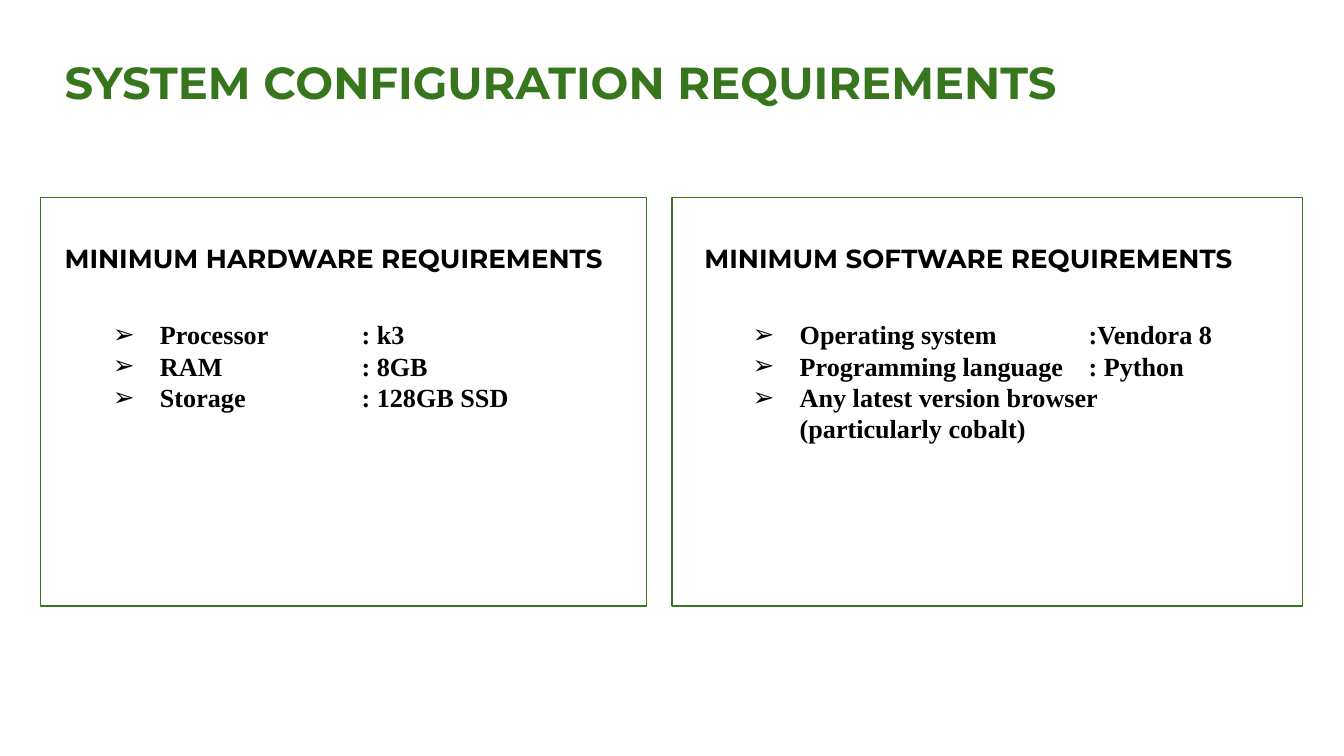
from pptx import Presentation
from pptx.dml.color import RGBColor as RGB
from pptx.enum.shapes import MSO_SHAPE as SHAPE
from pptx.enum.text import MSO_ANCHOR as ANCHOR, MSO_AUTO_SIZE as FIT, PP_ALIGN as ALIGN
from pptx.oxml.ns import qn
from pptx.util import Inches, Pt
from lxml.etree import SubElement as Sub

COLORS = {"green": "38761D", "black": "000000"}
HEAD, BODY = "Montserrat", "Times New Roman"
PANELS = [
    (0.3, 4.51, 0.38, 0.59, 2, "MINIMUM HARDWARE REQUIREMENTS",
     ["Processor\t: k3", "RAM\t: 8GB", "Storage\t: 128GB SSD"]),
    (5, 4.69, 5.14, 5.35, 2.65, "MINIMUM SOFTWARE REQUIREMENTS",
     ["Operating system\t:Vendora 8", "Programming language\t: Python",
      "Any latest version browser (particularly cobalt)"]),
]


class Deck:
    def __init__(self, wide):
        self.file = Presentation()
        self.file.slide_width = Inches(wide)
        self.file.slide_height = Inches(wide * 9 / 16)
        self.slide = self.file.slides.add_slide(self.file.slide_layouts[4])

    def fill(self, slot, box, lines, font, size, color="black"):
        shape = self.slide.placeholders[slot]
        shape.left, shape.top, shape.width, shape.height = map(Inches, box)
        frame = shape.text_frame
        frame.text = "\n".join(lines)
        frame.word_wrap = True
        frame.auto_size = FIT.NONE
        frame.vertical_anchor = ANCHOR.TOP
        frame.margin_left = frame.margin_right = Inches(0.1)
        frame.margin_top = frame.margin_bottom = Inches(0.1)
        for para in frame.paragraphs:
            para.alignment = ALIGN.LEFT
            para.space_before = Pt(0)
            for run in para.runs:
                run.font.name = font
                run.font.size = Pt(size)
                run.font.bold = True
                run.font.color.rgb = RGB.from_string(COLORS[color])
        return frame

    def title(self, text):
        self.fill(0, (0.38, 0.31, 8.49, 0.94), [text], HEAD, 24, "green")

    def label(self, slot, left, text):
        self.fill(slot, (left, 1.7, 4.37, 0.38), [text], HEAD, 14)

    def items(self, slot, left, tab, lines):
        frame = self.fill(slot, (left, 2.27, 3.98, 1.95), lines, BODY, 14)
        for para in frame.paragraphs:
            props = para._p.get_or_add_pPr()
            props.set("marL", str(Inches(0.5)))
            props.set("indent", str(Inches(-0.35)))
            tint = Sub(props, qn("a:buClr"))
            Sub(tint, qn("a:srgbClr"), val=COLORS["black"])
            Sub(props, qn("a:buChar"), char="➢")
            stops = Sub(props, qn("a:tabLst"))
            Sub(stops, qn("a:tab"), pos=str(Inches(tab)), algn="l")

    def panel(self, left, width):
        box = self.slide.shapes.add_shape(
            SHAPE.RECTANGLE, Inches(left), Inches(1.47), Inches(width), Inches(3.04))
        box.shadow.inherit = False
        box.fill.background()
        box.line.color.rgb = RGB.from_string(COLORS["green"])
        box.line.width = Pt(0.75)


deck = Deck(10)
deck.title("SYSTEM CONFIGURATION REQUIREMENTS")
for i, (left, width, head, list_left, tab, text, lines) in enumerate(PANELS):
    deck.panel(left, width)
    deck.label(1 + 2 * i, head, text)
    deck.items(2 + 2 * i, list_left, tab, lines)
deck.file.save("out.pptx")
